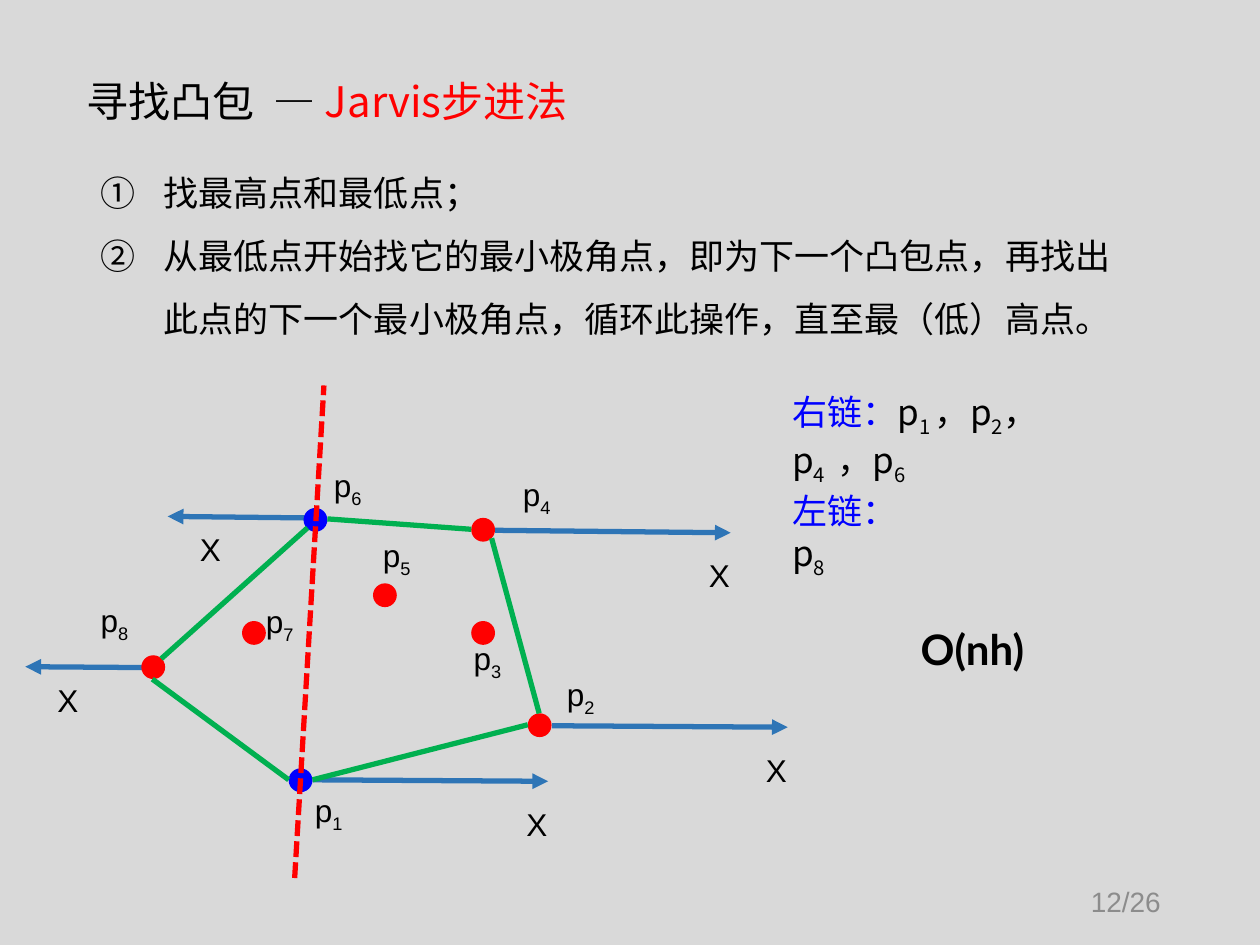
from pptx import Presentation
from pptx.dml.color import RGBColor
from pptx.enum.dml import MSO_LINE
from pptx.enum.shapes import MSO_CONNECTOR, MSO_SHAPE
from pptx.enum.text import MSO_ANCHOR, PP_ALIGN
from pptx.oxml.ns import qn
from pptx.util import Cm, Pt
from lxml.etree import SubElement

BLACK, RED, BLUE, GREEN, RAY = "000000", "FF0000", "0000FF", "00B050", "2E75B6"
CJK = "Noto Sans CJK SC"

presentation = Presentation()
presentation.slide_width, presentation.slide_height = Cm(25.4), Cm(19.05)
slide = presentation.slides.add_slide(presentation.slide_layouts[6])
slide.background.fill.solid()
slide.background.fill.fore_color.rgb = RGBColor.from_string("D9D9D9")


def add_text(box, paragraphs, size, font="Arial", anchor=MSO_ANCHOR.TOP, bold=False, **formats):
    shape = slide.shapes.add_textbox(*map(Cm, box))
    frame = shape.text_frame
    frame.word_wrap = True
    frame.vertical_anchor = anchor
    for index, runs in enumerate(paragraphs):
        paragraph = frame.paragraphs[0] if index == 0 else frame.add_paragraph()
        for name, value in formats.items():
            setattr(paragraph, name, value)
        for text, color, *options in runs:
            run = paragraph.add_run()
            run.text = text
            run.font.size, run.font.bold = Pt(size), bold
            run.font.color.rgb = RGBColor.from_string(color)
            run.font.name = font
            properties = run.font._element
            SubElement(properties, qn("a:ea")).set("typeface", CJK)
            if "sub" in options:
                properties.set("baseline", "-25000")
            if CJK in options:
                run.font.name = CJK
    return frame


def add_line(ends, color, arrow=False, dash=None):
    connector = slide.shapes.add_connector(MSO_CONNECTOR.STRAIGHT, *map(Cm, ends))
    connector.line.color.rgb = RGBColor.from_string(color)
    connector.line.width = Pt(3)
    if dash:
        connector.line.dash_style = dash
    if arrow:
        SubElement(connector.line._get_or_add_ln(), qn("a:tailEnd")).set("type", "triangle")
    SubElement(connector._element.spPr, qn("a:effectLst"))


add_text((1.5, 1.24, 16.2, 1.7),
         [[("寻找凸包  — ", BLACK), ("Jarvis步进法 ", RED, CJK)]],
         24, anchor=MSO_ANCHOR.MIDDLE, line_spacing=0.9)

steps = add_text((1.78, 2.9, 20.93, 4.11), [
    [("找最高点和最低点；", BLACK)],
    [("从最低点开始找它的最小极角点，即为下一个凸包点，再找出"
      "此点的下一个最小极角点，循环此操作，直至最（低）高点。", BLACK)],
], 20, CJK, line_spacing=1.5)
for paragraph in steps.paragraphs:
    properties = paragraph._p.get_or_add_pPr()
    properties.set("marL", str(Cm(1.27)))
    properties.set("indent", str(-Cm(1.27)))
    SubElement(properties, qn("a:buAutoNum")).set("type", "circleNumDbPlain")

rays = [
    (6.15, 10.44, 3.38, 10.41),
    (3.28, 13.46, 0.51, 13.44),
    (6.3, 15.72, 11.05, 15.75),
    (11.13, 14.63, 15.88, 14.66),
    (9.98, 10.69, 14.73, 10.74),
]
for ray in rays:
    start_x, _, tip_x, tip_y = ray
    add_line(ray, RAY, arrow=True)
    shift_x, shift_y = (0.4, 0.16) if tip_x < start_x else (-0.69, 0.35)
    add_text((tip_x + shift_x, tip_y + shift_y, 1.07, 1.02), [[("X", BLACK)]], 18)

diameter = 0.48
points = [
    (6.06, 15.73, 6.1, 15.82, BLUE),
    (10.88, 14.62, 11.18, 13.49, RED),
    (9.74, 12.76, 9.3, 12.75, RED),
    (9.74, 10.68, 10.29, 9.45, RED),
    (7.76, 12, 7.47, 10.69, RED),
    (6.36, 10.48, 6.48, 9.27, BLUE),
    (5.12, 12.76, 5.11, 12.01, RED),
    (3.09, 13.45, 1.78, 11.99, RED),
]
for number, (x, y, label_x, label_y, color) in enumerate(points, 1):
    point = slide.shapes.add_shape(
        MSO_SHAPE.FLOWCHART_CONNECTOR, Cm(x - diameter / 2), Cm(y - diameter / 2),
        Cm(diameter), Cm(diameter))
    point.shadow.inherit = False
    point.fill.solid()
    point.fill.fore_color.rgb = RGBColor.from_string(color)
    point.line.fill.background()
    add_text((label_x, label_y, 1.4, 1.02),
             [[("p", BLACK), (str(number), BLACK, "sub")]], 18)

add_line((5.94, 17.7, 6.53, 7.77), RED, dash=MSO_LINE.SQUARE_DOT)
hull_edges = [
    (6.3, 15.72, 10.64, 14.61),
    (10.87, 14.38, 9.91, 10.85),
    (9.5, 10.67, 6.6, 10.46),
    (6.2, 10.64, 3.25, 13.28),
    (3.07, 13.69, 5.82, 15.72),
]
for edge in hull_edges:
    add_line(edge, GREEN)

right_chain = [("右链：", BLUE)]
for text, index in [("p", "1 "), ("，p", "2"), ("，  p".replace("  ", " "), "4 "), (" ，p", "6")]:
    right_chain += [(text, BLACK), (index, BLACK, "sub")]
add_text((15.72, 7.75, 6.1, 2.1), [right_chain], 20, CJK)
add_text((15.72, 9.75, 2.8, 2.1),
         [[("左链：", BLUE), ("p", BLACK), ("8", BLACK, "sub")]], 20, CJK)

add_text((18.31, 12.45, 2.77, 1.3), [[("O(nh)", BLACK)]], 24, "Lato", bold=True)
add_text((17.93, 17.65, 5.72, 1.02), [[("12/26", "8C8C8C")]], 16,
         anchor=MSO_ANCHOR.MIDDLE, alignment=PP_ALIGN.RIGHT)

presentation.save("out.pptx")
